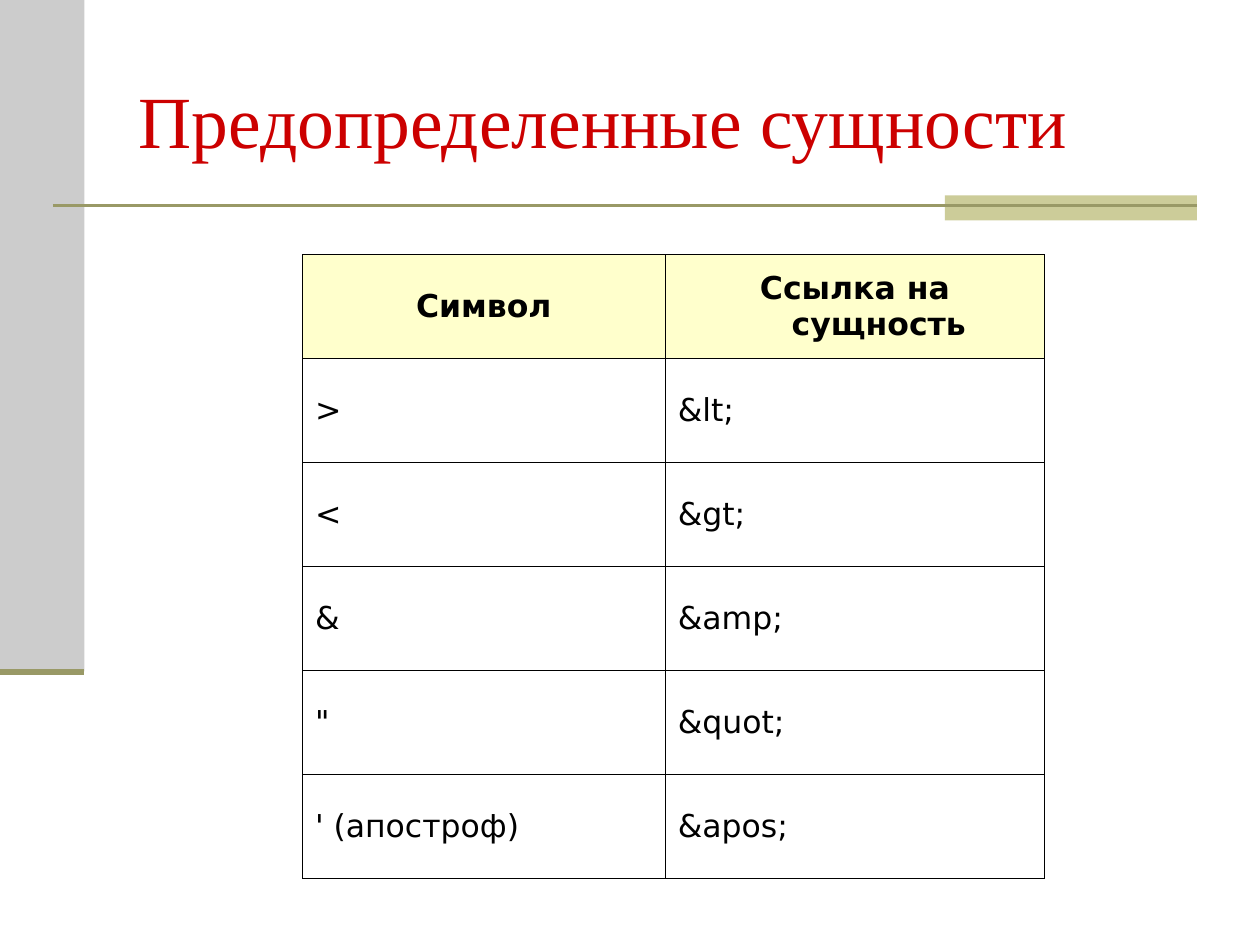
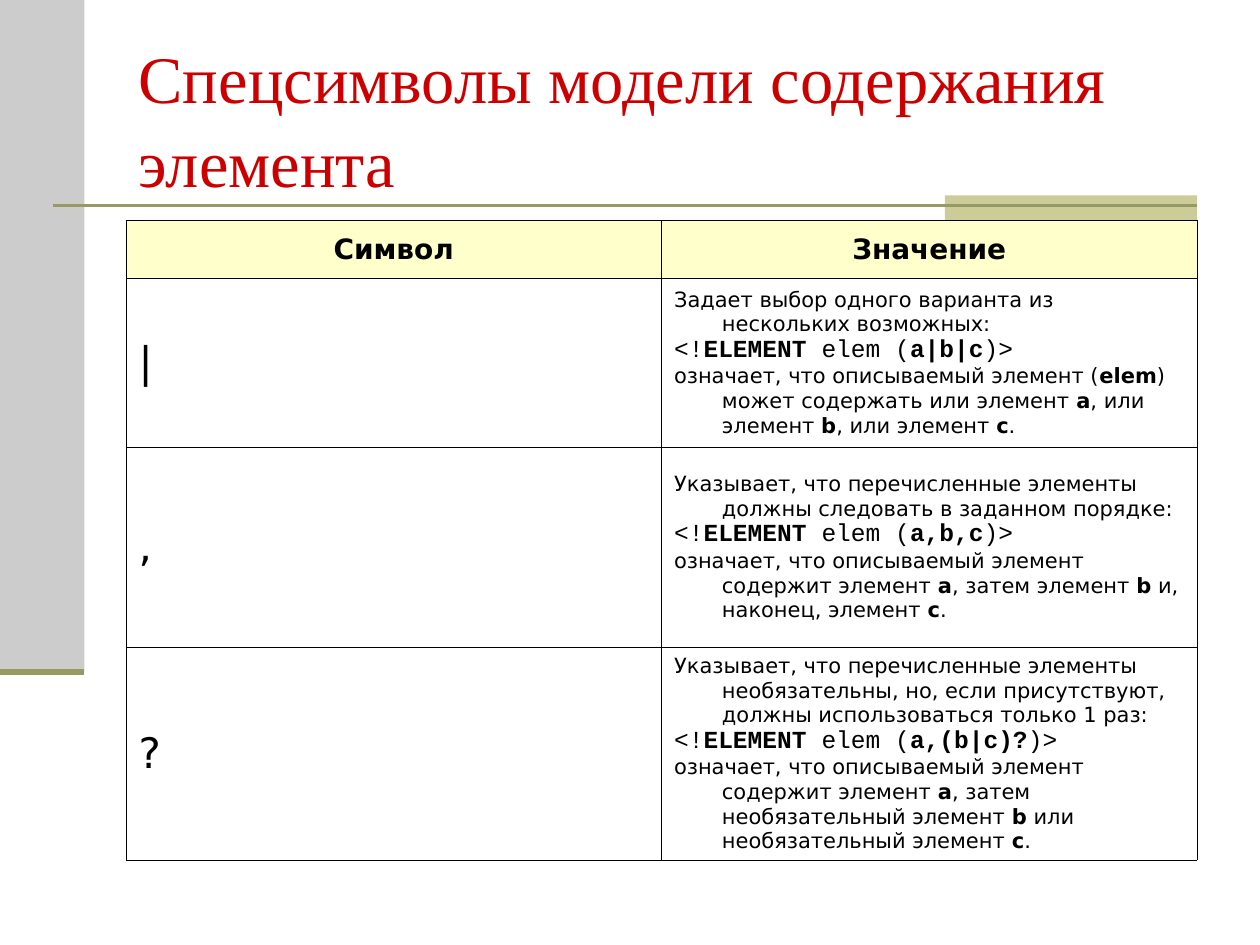
import pptx
import pptx.dml.color
import pptx.enum.shapes
import pptx.enum.text
import pptx.oxml
import pptx.oxml.ns
import pptx.util
from pptx.util import Inches

COLORS = {
    "title": "CC0000",
    "text": "000000",
    "border": "000000",
    "header": "FFFFCC",
    "side_band": "CCCCCC",
    "accent_band": "CCCC99",
    "rule": "999966",
}
TITLE_FONT = "Times New Roman"
BODY_FONT = "DejaVu Sans"
CODE_FONT = "Courier New"
HANGING_INDENT = Inches(0.38)
BORDER_WIDTH = pptx.util.Pt(0.34)
TITLE_ONLY_LAYOUT = 5

ENTITIES = [
    (">", "&lt;"),
    ("<", "&gt;"),
    ("&", "&amp;"),
    ('"', "&quot;"),
    ("' (апостроф)", "&apos;"),
]

# Text between double asterisks is bold.
CONTENT_MODEL = [
    ("|", "Задает выбор одного варианта из нескольких возможных:", "a|b|c",
     "означает, что описываемый элемент (**elem**) может содержать или элемент **a**, "
     "или элемент **b**, или элемент **c**."),
    (",", "Указывает, что перечисленные элементы должны следовать в заданном порядке:", "a,b,c",
     "означает, что описываемый элемент содержит элемент **a**, затем элемент **b** и, "
     "наконец, элемент **c**."),
    ("?", "Указывает, что перечисленные элементы необязательны, но, если присутствуют, "
     "должны использоваться только 1 раз:", "a,(b|c)?",
     "означает, что описываемый элемент содержит элемент **a**, затем необязательный "
     "элемент **b** или необязательный элемент **c**."),
]


def rgb(name):
    return pptx.dml.color.RGBColor.from_string(COLORS[name])


def style_font(font, name, size, color, bold=False):
    font.name = name
    font.size = pptx.util.Pt(size)
    font.bold = bold
    font.color.rgb = rgb(color)


def add_band(slide, left, top, width, height, color):
    band = slide.shapes.add_shape(
        pptx.enum.shapes.MSO_SHAPE.RECTANGLE,
        Inches(left), Inches(top), Inches(width), Inches(height))
    band.shadow.inherit = False
    band.fill.solid()
    band.fill.fore_color.rgb = rgb(color)
    band.line.fill.background()


def add_rule(slide, left, right, y, width):
    rule = slide.shapes.add_connector(
        pptx.enum.shapes.MSO_CONNECTOR.STRAIGHT,
        Inches(left), Inches(y), Inches(right), Inches(y))
    rule.line.color.rgb = rgb("rule")
    rule.line.width = pptx.util.Pt(width)
    rule._element.spPr.append(pptx.oxml.parse_xml(
        f'<a:effectLst {pptx.oxml.ns.nsdecls("a")}/>'))


def set_title(slide, text, size):
    title = slide.shapes.title
    title.left, title.top = Inches(1), Inches(0.3)
    title.width, title.height = Inches(8.5), Inches(1.25)
    frame = title.text_frame
    frame.text = text
    frame.word_wrap = True
    frame.auto_size = pptx.enum.text.MSO_AUTO_SIZE.NONE
    frame.vertical_anchor = pptx.enum.text.MSO_ANCHOR.MIDDLE
    paragraph = frame.paragraphs[0]
    paragraph.alignment = pptx.enum.text.PP_ALIGN.LEFT
    paragraph.line_spacing = 1.05
    style_font(paragraph.runs[0].font, TITLE_FONT, size, "title")


def add_slide(presentation, title, title_size):
    """Add a slide with the title, bands and rules that all slides share."""
    slide = presentation.slides.add_slide(presentation.slide_layouts[TITLE_ONLY_LAYOUT])
    add_band(slide, 0, 0, 0.67, 5.33, "side_band")
    add_band(slide, 7.5, 1.55, 2, 0.2, "accent_band")
    add_rule(slide, 0.42, 9.5, 1.63, 1.5)
    add_rule(slide, 0, 0.67, 5.33, 3.5)
    set_title(slide, title, title_size)
    return slide


def set_borders(cell):
    properties = cell._tc.get_or_add_tcPr()
    for index, side in enumerate(("lnL", "lnR", "lnT", "lnB")):
        properties.insert(index, pptx.oxml.parse_xml(
            f'<a:{side} {pptx.oxml.ns.nsdecls("a")} w="{BORDER_WIDTH}"><a:solidFill>'
            f'<a:srgbClr val="{COLORS["border"]}"/></a:solidFill></a:{side}>'))


def write_paragraph(paragraph, text, size, font=BODY_FONT):
    """Write text with a hanging indent; parts between ** are bold."""
    properties = paragraph._p.get_or_add_pPr()
    properties.set("marL", str(HANGING_INDENT))
    properties.set("indent", str(-HANGING_INDENT))
    for index, part in enumerate(text.split("**")):
        if part:
            run = paragraph.add_run()
            run.text = part
            style_font(run.font, font, size, "text", bold=index % 2 == 1)


def format_cell(cell):
    cell.vertical_anchor = pptx.enum.text.MSO_ANCHOR.MIDDLE
    cell.margin_left = cell.margin_right = Inches(0.1)
    cell.margin_top = cell.margin_bottom = Inches(0.05)
    cell.fill.background()
    set_borders(cell)


def add_table(slide, left, top, column_widths, row_heights, headers, header_size):
    """Add a bordered table with a filled header row and empty body cells."""
    table = slide.shapes.add_table(
        len(row_heights), len(column_widths), Inches(left), Inches(top),
        Inches(sum(column_widths)), Inches(sum(row_heights))).table
    table.first_row = table.horz_banding = False
    for column, width in zip(table.columns, column_widths):
        column.width = Inches(width)
    for row, height in zip(table.rows, row_heights):
        row.height = Inches(height)
    for cell in table.iter_cells():
        format_cell(cell)
    for cell, header in zip(table.rows[0].cells, headers):
        cell.fill.solid()
        cell.fill.fore_color.rgb = rgb("header")
        paragraph = cell.text_frame.paragraphs[0]
        paragraph.alignment = pptx.enum.text.PP_ALIGN.CENTER
        write_paragraph(paragraph, f"**{header}**", header_size)
    return table


def add_entities_slide(presentation):
    slide = add_slide(presentation, "Предопределенные сущности", 42)
    table = add_table(slide, 2.4, 2.02, [2.88, 3.01], [4.95 / 6] * 6,
                      ["Символ", "Ссылка на сущность"], 18)
    for row_number, entity in enumerate(ENTITIES, start=1):
        for cell, text in zip(table.rows[row_number].cells, entity):
            write_paragraph(cell.text_frame.paragraphs[0], text, 18)


def add_content_model_slide(presentation):
    slide = add_slide(presentation, "Спецсимволы модели содержания элемента", 38)
    table = add_table(slide, 1, 1.75, [4.25, 4.25], [0.46, 1.34, 1.59, 1.59],
                      ["Символ", "Значение"], 16)
    for row_number, (symbol, purpose, model, meaning) in enumerate(CONTENT_MODEL, start=1):
        symbol_cell, meaning_cell = table.rows[row_number].cells
        write_paragraph(symbol_cell.text_frame.paragraphs[0], symbol, 24)
        frame = meaning_cell.text_frame
        write_paragraph(frame.paragraphs[0], purpose, 12)
        write_paragraph(frame.add_paragraph(), f"<!**ELEMENT** elem (**{model}**)>", 14, CODE_FONT)
        write_paragraph(frame.add_paragraph(), meaning, 12)


def main():
    presentation = pptx.Presentation()
    presentation.slide_width = Inches(10)
    presentation.slide_height = Inches(7.5)
    add_entities_slide(presentation)
    add_content_model_slide(presentation)
    presentation.save("out.pptx")


if __name__ == "__main__":
    main()
